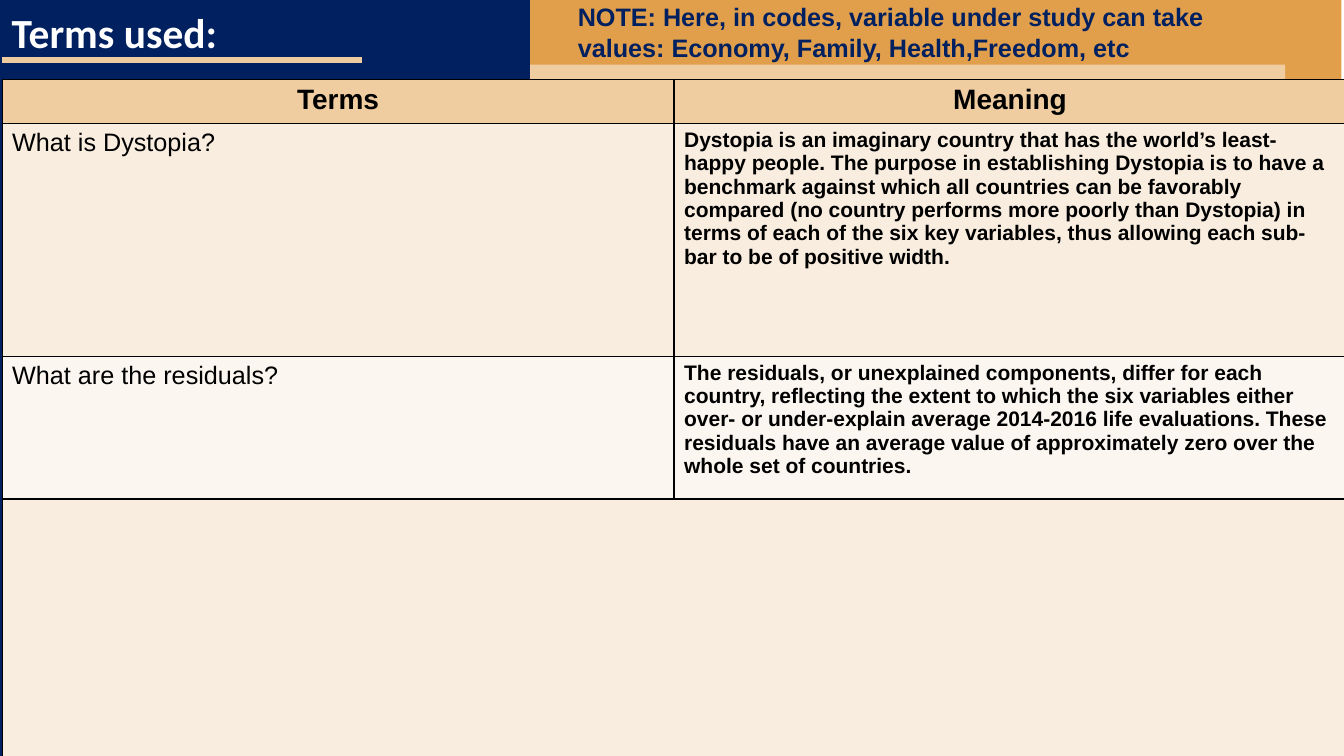
"""Builds the slide that explains the terms used."""
from lxml.etree import SubElement
from pptx import Presentation
from pptx.dml.color import RGBColor
from pptx.enum.shapes import MSO_CONNECTOR, MSO_SHAPE
from pptx.enum.text import MSO_ANCHOR, MSO_AUTO_SIZE, PP_ALIGN
from pptx.oxml import parse_xml
from pptx.oxml.ns import nsdecls, qn
from pptx.util import Inches, Pt

COLUMNS, ROWS = 160, 90
CELL = Inches(1) / 12
COLORS = {
    "navy": "002060", "orange": "E29F4B", "peach": "F0CDA1",
    "cream": "F9EDE0", "ivory": "FCF6F0", "white": "FFFFFF", "black": "000000",
}
TERMS = [
    ("What is Dystopia?",
     "Dystopia is an imaginary country that has the world’s least-happy people. "
     "The purpose in establishing Dystopia is to have a benchmark against which "
     "all countries can be favorably compared (no country performs more poorly "
     "than Dystopia) in terms of each of the six key variables, thus allowing "
     "each sub-bar to be of positive width."),
    ("What are the residuals?",
     "The residuals, or unexplained components, differ for each country, "
     "reflecting the extent to which the six variables either over- or "
     "under-explain average 2014-2016 life evaluations. These residuals have an "
     "average value of approximately zero over the whole set of countries."),
]
NOTE = ("NOTE: Here, in codes, variable under study can take values: "
        "Economy, Family, Health,Freedom, etc")


def grid(*counts):
    """Turn counts of grid cells into lengths."""
    return [round(count * CELL) for count in counts]


def color(name):
    """Look up a named colour."""
    return RGBColor.from_string(COLORS[name])


def write(frame, text, size=18, font="Arial", ink="black", bold=False,
          align=PP_ALIGN.LEFT, spacing=None):
    """Write one formatted paragraph into a text frame."""
    para = frame.paragraphs[0]
    para.alignment = align
    para.line_spacing = spacing
    span = para.add_run()
    span.text = text
    span.font.size = Pt(size)
    span.font.name = font
    span.font.bold = bold
    span.font.color.rgb = color(ink)


def add_panel(page, fill, *area):
    """Add a plain filled rectangle."""
    panel = page.shapes.add_shape(MSO_SHAPE.RECTANGLE, *grid(*area))
    panel.shadow.inherit = False
    panel.fill.solid()
    panel.fill.fore_color.rgb = color(fill)
    panel.line.fill.background()


def add_rule(page, ink, width, *ends):
    """Add a straight line without a shadow."""
    rule = page.shapes.add_connector(MSO_CONNECTOR.STRAIGHT, *grid(*ends))
    rule.line.color.rgb = color(ink)
    rule.line.width = Pt(width)
    SubElement(rule.element.spPr, qn("a:effectLst"))


def set_title(page, text, *area):
    """Place the title placeholder above the panels and fill it."""
    title = page.shapes.title
    title.left, title.top, title.width, title.height = grid(*area)
    title.element.getparent().append(title.element)
    frame = title.text_frame
    frame.auto_size = MSO_AUTO_SIZE.NONE
    frame.vertical_anchor = MSO_ANCHOR.MIDDLE
    write(frame, text, size=29.6, font="Calibri", ink="white", bold=True, spacing=0.8)


def add_note(page, text, *area):
    """Add the wrapped note in the header."""
    frame = page.shapes.add_textbox(*grid(*area)).text_frame
    frame.word_wrap = True
    frame.auto_size = MSO_AUTO_SIZE.SHAPE_TO_FIT_TEXT
    write(frame, text, ink="navy", bold=True)


def style_cell(cell, fill):
    """Fill a table cell and give it thin black borders."""
    cell.fill.solid()
    cell.fill.fore_color.rgb = color(fill)
    properties = cell._tc.get_or_add_tcPr()
    for index, side in enumerate("LRTB"):
        properties.insert(index, parse_xml(
            f'<a:ln{side} {nsdecls("a")} w="{Pt(1)}"><a:solidFill>'
            f'<a:srgbClr val="{COLORS["black"]}"/></a:solidFill></a:ln{side}>'))


def add_terms_table(page, left, top, width, heights, fills):
    """Add the table of terms, closed by one empty merged row."""
    area = grid(left, top, width, sum(heights))
    table = page.shapes.add_table(len(heights), 2, *area).table
    table.first_row = table.horz_banding = False
    for row, height, fill in zip(table.rows, grid(*heights), fills):
        row.height = height
        for cell in row.cells:
            style_cell(cell, fill)
    for cell, heading in zip(table.rows[0].cells, ("Terms", "Meaning")):
        write(cell.text_frame, heading, size=20, bold=True, align=PP_ALIGN.CENTER)
    for number, (term, meaning) in enumerate(TERMS, start=1):
        write(table.cell(number, 0).text_frame, term)
        write(table.cell(number, 1).text_frame, meaning, size=15, bold=True)
    last = len(heights) - 1
    table.cell(last, 0).merge(table.cell(last, 1))


def main():
    """Build and save the deck."""
    deck = Presentation()
    deck.slide_width, deck.slide_height = grid(COLUMNS, ROWS)
    page = deck.slides.add_slide(deck.slide_layouts.get_by_name("Title Only"))
    add_panel(page, "orange", 62.8, 0, 96.9, ROWS)
    add_panel(page, "peach", 0, 7.7, 153, 76.5)
    add_panel(page, "navy", 0, 0, 63.1, ROWS)
    add_rule(page, "peach", 4.32, 0.2, 7.1, 43.1, 7.1)
    set_title(page, "Terms used:", 0.2, 1.3, 31.7, 6.2)
    add_terms_table(page, 0.25, 9.45, COLUMNS, (5.25, 27.7, 17, 52.4),
                    ("peach", "cream", "ivory", "cream"))
    add_note(page, NOTE, 67.6, -0.4, 81, 8.5)
    deck.save("out.pptx")


main()
